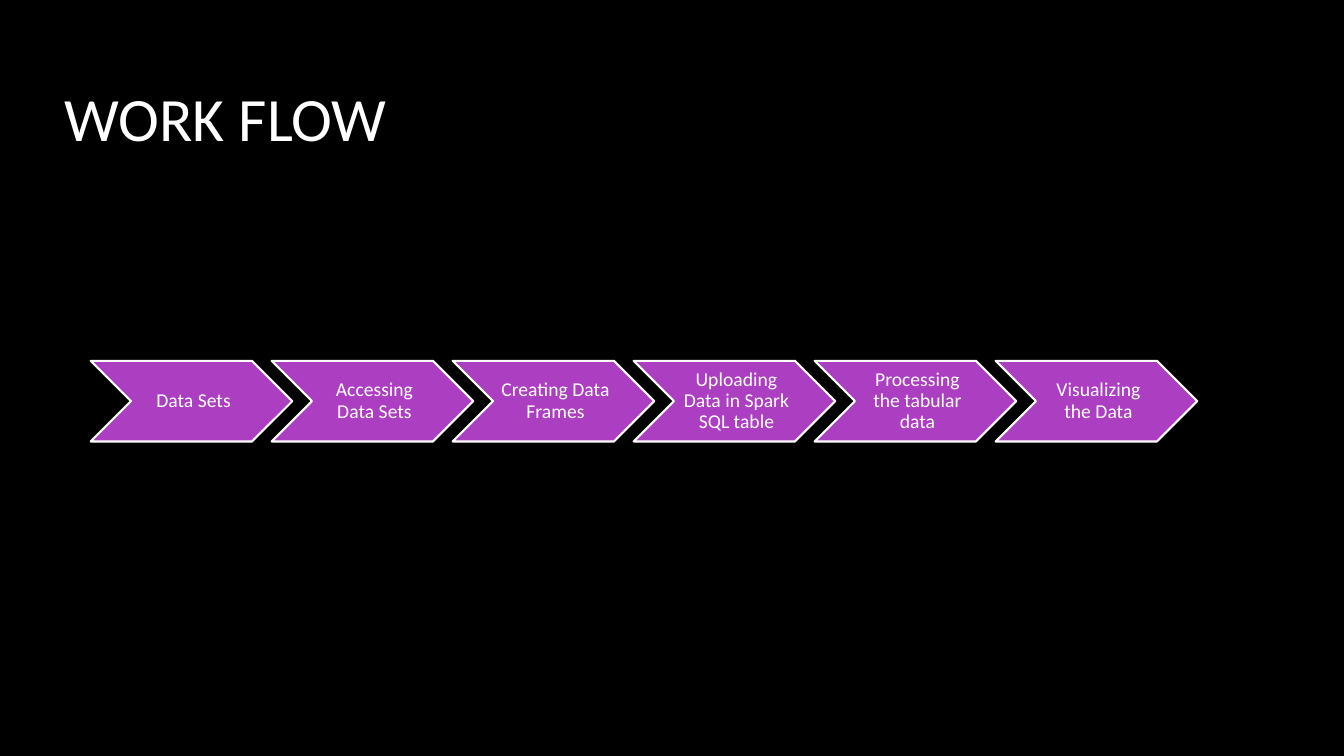
from pptx import Presentation
from pptx.dml.color import RGBColor
from pptx.enum.shapes import MSO_SHAPE
from pptx.enum.text import MSO_ANCHOR, PP_ALIGN
from pptx.util import Inches, Pt

CHEVRON = MSO_SHAPE.CHEVRON
MIDDLE = MSO_ANCHOR.MIDDLE
LEFT = PP_ALIGN.LEFT
CENTER = PP_ALIGN.CENTER
TITLE_ONLY = 5

FONT = "Calibri"
COLORS = {"background": "000000", "text": "FFFFFF", "step": "AC3EC1", "outline": "FFFFFF"}
STEPS = [
    "Data Sets",
    "Accessing Data Sets",
    "Creating Data Frames",
    "Uploading Data in Spark SQL table",
    "Processing the tabular data",
    "Visualizing the Data",
]
STEP_LEFT, STEP_TOP = 0.9, 3.58
STEP_WIDTH, STEP_HEIGHT = 2.0, 0.8
STEP_PITCH = 1.795


def color(name):
    return RGBColor.from_string(COLORS[name])


def write_text(frame, text, size, align, line_spacing=None):
    frame.word_wrap = True
    frame.vertical_anchor = MIDDLE
    para = frame.paragraphs[0]
    para.alignment = align
    para.line_spacing = line_spacing
    span = para.add_run()
    span.text = text
    span.font.name = FONT
    span.font.size = Pt(size)
    span.font.color.rgb = color("text")


def add_title(page, text):
    title = page.shapes.title
    title.left, title.top = Inches(0.54), Inches(0.36)
    title.width, title.height = Inches(11.08), Inches(1.59)
    write_text(title.text_frame, text, size=44, align=LEFT)


def add_step(page, index, text):
    step = page.shapes.add_shape(
        CHEVRON,
        Inches(STEP_LEFT + index * STEP_PITCH),
        Inches(STEP_TOP),
        Inches(STEP_WIDTH),
        Inches(STEP_HEIGHT),
    )
    step.shadow.inherit = False
    step.fill.solid()
    step.fill.fore_color.rgb = color("step")
    step.line.color.rgb = color("outline")
    step.line.width = Pt(1.5)
    frame = step.text_frame
    frame.margin_left = Inches(0.06)
    frame.margin_top = frame.margin_right = frame.margin_bottom = Inches(0.02)
    write_text(frame, text, size=14, align=CENTER, line_spacing=0.9)


def main():
    deck = Presentation()
    deck.slide_width, deck.slide_height = Inches(13.33), Inches(7.5)
    page = deck.slides.add_slide(deck.slide_layouts[TITLE_ONLY])
    page.background.fill.solid()
    page.background.fill.fore_color.rgb = color("background")
    add_title(page, "WORK FLOW")
    for index, text in enumerate(STEPS):
        add_step(page, index, text)
    deck.save("out.pptx")


if __name__ == "__main__":
    main()
